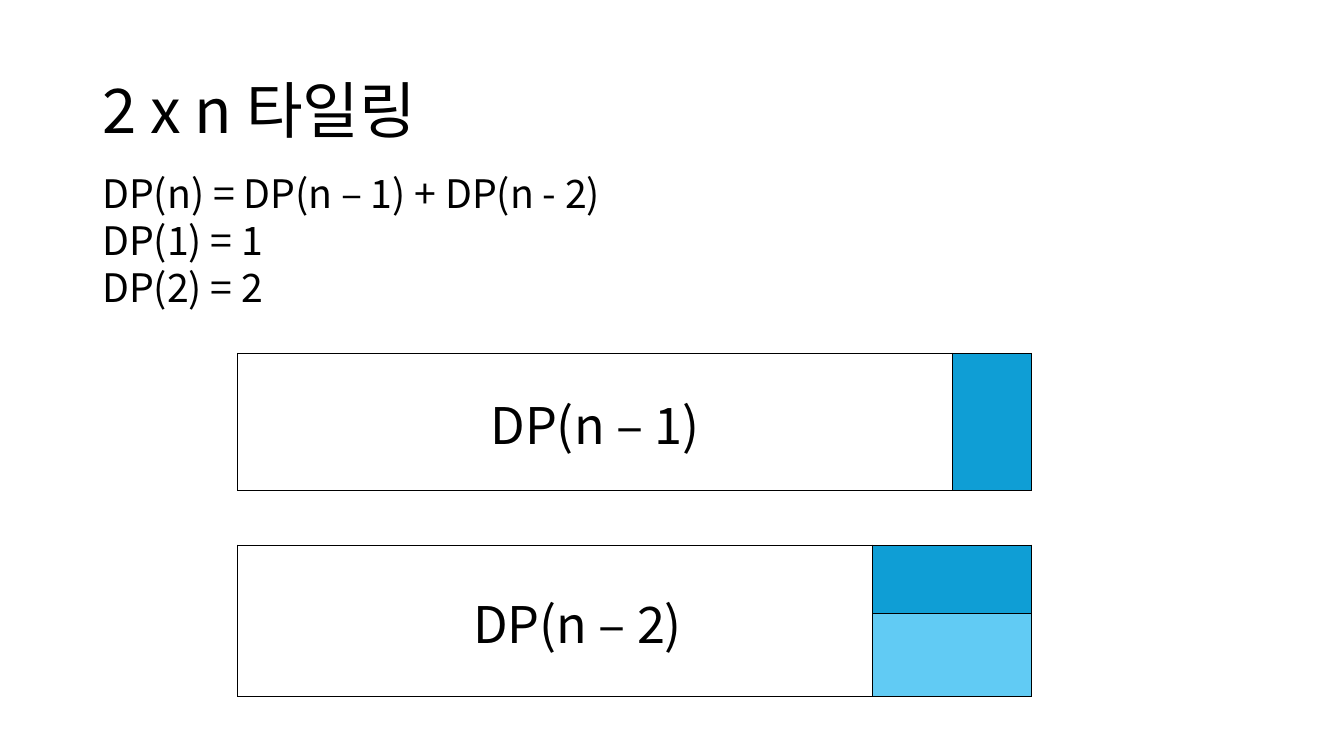
from dataclasses import dataclass

from lxml.etree import SubElement
from pptx import Presentation
from pptx.dml.color import RGBColor
from pptx.enum.text import MSO_ANCHOR, PP_ALIGN
from pptx.oxml import parse_xml
from pptx.oxml.ns import nsdecls, qn
from pptx.util import Pt


@dataclass(frozen=True)
class Theme:
    font: str = "Noto Sans CJK KR"
    ink: str = "000000"
    paper: str = "FFFFFF"
    tile: str = "0F9ED5"
    light_tile: str = "61CBF4"
    title: int = 44
    label: int = 36
    body: int = 28
    border: int = 1


theme = Theme()


def write(p, text, size):
    p.text = text
    p.font.size = Pt(size)
    p.font.name = theme.font
    p.font.color.rgb = RGBColor.from_string(theme.ink)
    SubElement(p.font._element, qn("a:ea"), typeface=theme.font)


def paint(cell, color):
    """Fill a cell and draw its four borders."""
    cell.fill.solid()
    cell.fill.fore_color.rgb = RGBColor.from_string(color)
    tc_pr = cell._tc.get_or_add_tcPr()
    for i, side in enumerate("LRTB"):
        tc_pr.insert(i, parse_xml(
            f'<a:ln{side} {nsdecls("a")} w="{Pt(theme.border)}"><a:solidFill>'
            f'<a:srgbClr val="{theme.ink}"/></a:solidFill></a:ln{side}>'))


prs = Presentation()
prs.slide_width, prs.slide_height = Pt(960), Pt(540)
s = prs.slides.add_slide(prs.slide_layouts[6])

# Title and recurrence: lines, size, line spacing, anchor, box
texts = [
    (["2 x n 타일링"], theme.title, 0.9, MSO_ANCHOR.MIDDLE, (66, 28.8, 828, 104.4)),
    (["DP(n) = DP(n – 1) + DP(n - 2)", "DP(1) = 1", "DP(2) = 2"],
     theme.body, Pt(33.6), MSO_ANCHOR.TOP, (66, 117.4, 496, 108.7)),
]
for lines, size, spacing, anchor, box in texts:
    tf = s.shapes.add_textbox(*map(Pt, box)).text_frame
    tf.word_wrap = True
    tf.vertical_anchor = anchor
    for i, line in enumerate(lines):
        p = tf.add_paragraph() if i else tf.paragraphs[0]
        write(p, line, size)
        p.line_spacing = spacing

# Tilings: label, left inset, top, tile unit count, row heights, tile colours
left, width, unit = 169.8, 567, 56.7
tilings = [
    ("DP(n – 1)", 7.2, 252.5, 1, [98], [theme.tile]),
    ("DP(n – 2)", 39.2, 389.5, 2, [49, 59.3], [theme.tile, theme.light_tile]),
]
for label, inset, top, units, heights, colors in tilings:
    frame = s.shapes.add_table(len(heights), 2, Pt(left), Pt(top), Pt(width), Pt(sum(heights)))
    table = frame.table
    table.first_row = table.horz_banding = False
    table.columns[0].width = Pt(width - units * unit)
    table.columns[1].width = Pt(units * unit)
    for i, (height, color) in enumerate(zip(heights, colors)):
        table.rows[i].height = Pt(height)
        paint(table.cell(i, 0), theme.paper)
        paint(table.cell(i, 1), color)
    rest = table.cell(0, 0)
    if len(heights) > 1:
        rest.merge(table.cell(len(heights) - 1, 0))
    rest.vertical_anchor = MSO_ANCHOR.MIDDLE
    rest.margin_left = Pt(inset)
    p = rest.text_frame.paragraphs[0]
    write(p, label, theme.label)
    p.alignment = PP_ALIGN.CENTER

prs.save("out.pptx")
